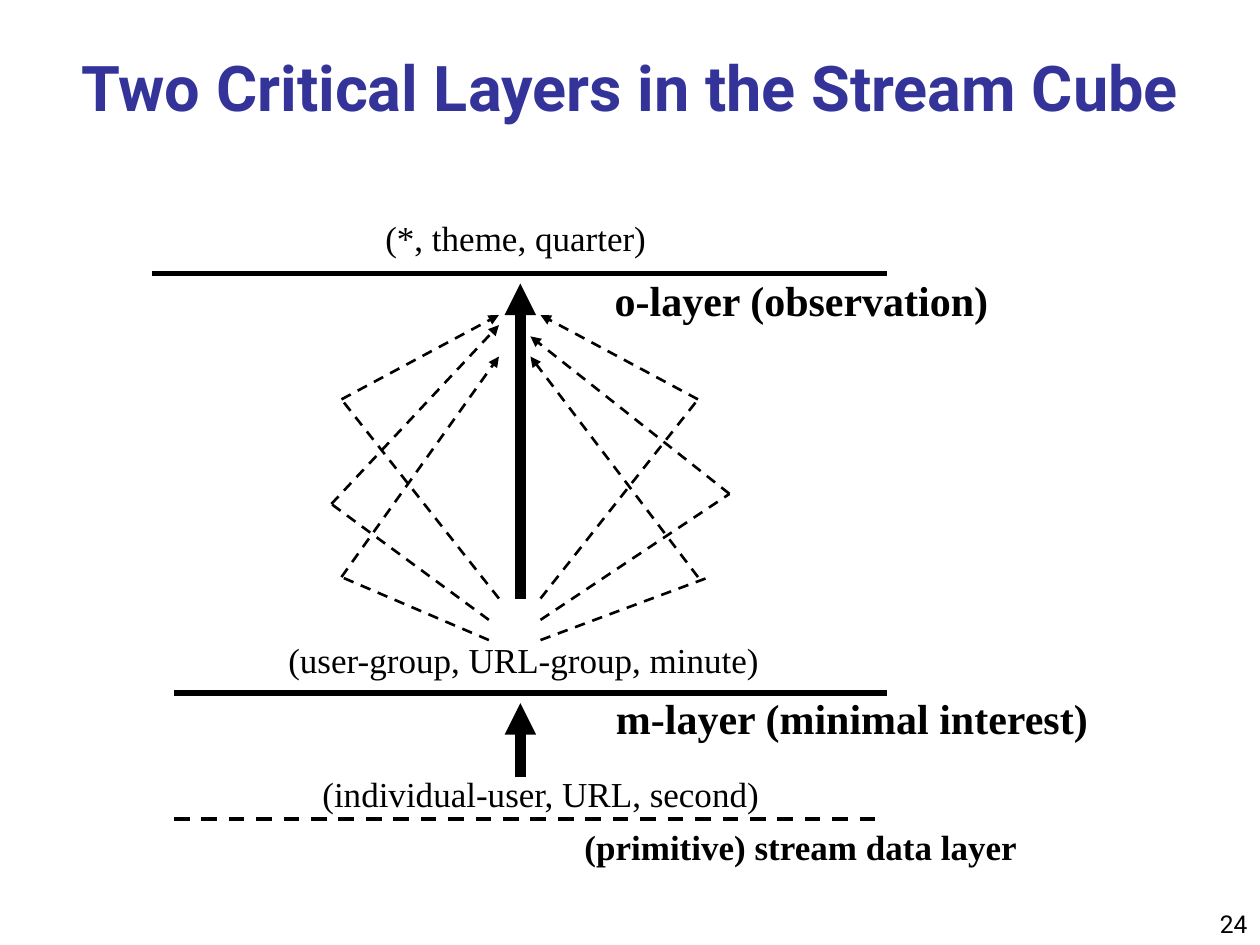
from lxml.etree import SubElement
from pptx import Presentation
from pptx.dml.color import RGBColor
from pptx.enum.dml import MSO_LINE
from pptx.enum.shapes import MSO_CONNECTOR
from pptx.enum.text import MSO_ANCHOR, MSO_AUTO_SIZE, PP_ALIGN
from pptx.oxml.ns import qn
from pptx.util import Inches, Pt

COLORS = {"title": "333399", "ink": "000000", "background": "FFFFFF"}
HEADING_FONT = "Roboto"
DIAGRAM_FONT = "Times New Roman"

LAYERS = [
    {"box": (1.21, 1.67, 5.83, 0.5), "caption": "(*, theme, quarter)",
     "caption_span": (1.75, 2.27), "name": "o-layer (observation)",
     "name_box": (3.57, -0.04, 3.17, 0.5)},
    {"box": (1.38, 5.02, 5.66, 0.48), "caption": "(user-group, URL-group, minute)",
     "caption_span": (0.81, 3.94), "name": "m-layer (minimal interest)",
     "name_box": (3.41, -0.05, 3.96, 0.5)},
    {"box": (1.38, 6.08, 5.66, 0.42), "caption": "(individual-user, URL, second)",
     "caption_span": (1.08, 3.68), "name": "(primitive) stream data layer",
     "name_box": (3.16, 0, 3.64, 0.44), "name_size": 20,
     "line_format": {"width": 2.25, "dashed": True}},
]

OUTWARD_PATHS = [
    ((1.33, 2.5), (0.08, 0.92)), ((1.25, 2.67), (0, 1.75)), ((1.25, 2.83), (0.08, 2.33)),
    ((1.66, 2.5), (2.91, 0.92)), ((1.66, 2.67), (3.16, 1.67)), ((1.66, 2.83), (3, 2.33)),
]
INWARD_PATHS = [
    ((0.08, 0.92), (1.33, 0.25)), ((0, 1.75), (1.33, 0.33)), ((0.08, 2.33), (1.33, 0.58)),
    ((2.91, 0.92), (1.66, 0.25)), ((3.16, 1.67), (1.58, 0.42)), ((2.91, 2.33), (1.58, 0.58)),
]


def write_text(shape, text, size=20, font=DIAGRAM_FONT, color="ink", bold=False,
               align=PP_ALIGN.LEFT, anchor=MSO_ANCHOR.TOP, wrap=False,
               auto_size=MSO_AUTO_SIZE.NONE):
    """Write one formatted paragraph into a shape."""
    frame = shape.text_frame
    frame.text = text
    frame.word_wrap = wrap
    frame.auto_size = auto_size
    frame.vertical_anchor = anchor
    paragraph = frame.paragraphs[0]
    paragraph.alignment = align
    paragraph.line_spacing = 1
    paragraph.space_before = Pt(0)
    paragraph.font.size = Pt(size)
    paragraph.font.name = font
    paragraph.font.bold = bold
    paragraph.font.color.rgb = RGBColor.from_string(COLORS[color])


def add_text(slide, box, text, **text_format):
    """Add a text box at the given box in inches."""
    shape = slide.shapes.add_textbox(*map(Inches, box))
    write_text(shape, text, **text_format)


def add_line(slide, start, end, width=3, dashed=False, arrow=False):
    """Draw a straight line between two points in inches."""
    line = slide.shapes.add_connector(
        MSO_CONNECTOR.STRAIGHT, *map(Inches, (*start, *end)))
    line.line.color.rgb = RGBColor.from_string(COLORS["ink"])
    line.line.width = Pt(width)
    if dashed:
        line.line.dash_style = MSO_LINE.DASH
    properties = line._element.spPr
    if arrow:
        SubElement(properties.find(qn("a:ln")), qn("a:tailEnd"), type="triangle")
    SubElement(properties, qn("a:effectLst"))


def add_title(slide, box, text):
    """Move the title placeholder to its box and fill it."""
    title = slide.shapes.title
    title.left, title.top, title.width, title.height = map(Inches, box)
    write_text(title, text, size=36, font=HEADING_FONT, color="title", bold=True,
               align=PP_ALIGN.CENTER, anchor=MSO_ANCHOR.MIDDLE, wrap=True)


def add_layer(slide, box, caption, caption_span, name, name_box, name_size=24,
              line_format=None):
    """Place a layer's line at the foot of its box, with caption above and name below."""
    left, top, width, height = box
    base = top + height
    add_line(slide, (left, base), (left + width, base), **(line_format or {}))
    offset, caption_width = caption_span
    fitted = {"auto_size": MSO_AUTO_SIZE.SHAPE_TO_FIT_TEXT}
    add_text(slide, (left + offset, top, caption_width, 0.44), caption, **fitted)
    name_left, name_top, name_width, name_height = name_box
    add_text(slide, (left + name_left, base + name_top, name_width, name_height),
             name, size=name_size, bold=True, **fitted)


def add_up_arrow(slide, box):
    """Draw a thick upward arrow along the centre of its box."""
    left, top, width, height = box
    center = left + width / 2
    add_line(slide, (center, top + height), (center, top), width=6, arrow=True)


def add_drill_paths(slide, box):
    """Draw the dashed paths that run between the two critical layers."""
    left, top = box[:2]
    for paths, arrow in ((OUTWARD_PATHS, False), (INWARD_PATHS, True)):
        for path in paths:
            start, end = ((left + x, top + y) for x, y in path)
            add_line(slide, start, end, width=1.5, dashed=True, arrow=arrow)


def main():
    """Build and save the slide."""
    presentation = Presentation()
    presentation.slide_width = Inches(10)
    presentation.slide_height = Inches(7.5)
    slide = presentation.slides.add_slide(presentation.slide_layouts[5])
    slide.background.fill.solid()
    slide.background.fill.fore_color.rgb = RGBColor.from_string(COLORS["background"])
    add_title(slide, (0, 0.32, 10, 0.73), "Two Critical Layers in the Stream Cube")
    for layer in LAYERS:
        add_layer(slide, **layer)
    add_up_arrow(slide, (4, 2.25, 0.26, 2.5))
    add_up_arrow(slide, (4, 5.58, 0.26, 0.59))
    add_drill_paths(slide, (2.63, 2.25, 3.16, 2.83))
    add_text(slide, (7.92, 7, 2.08, 0.5), "24", size=14, font=HEADING_FONT,
             align=PP_ALIGN.RIGHT, anchor=MSO_ANCHOR.BOTTOM, wrap=True)
    presentation.save("out.pptx")


if __name__ == "__main__":
    main()
